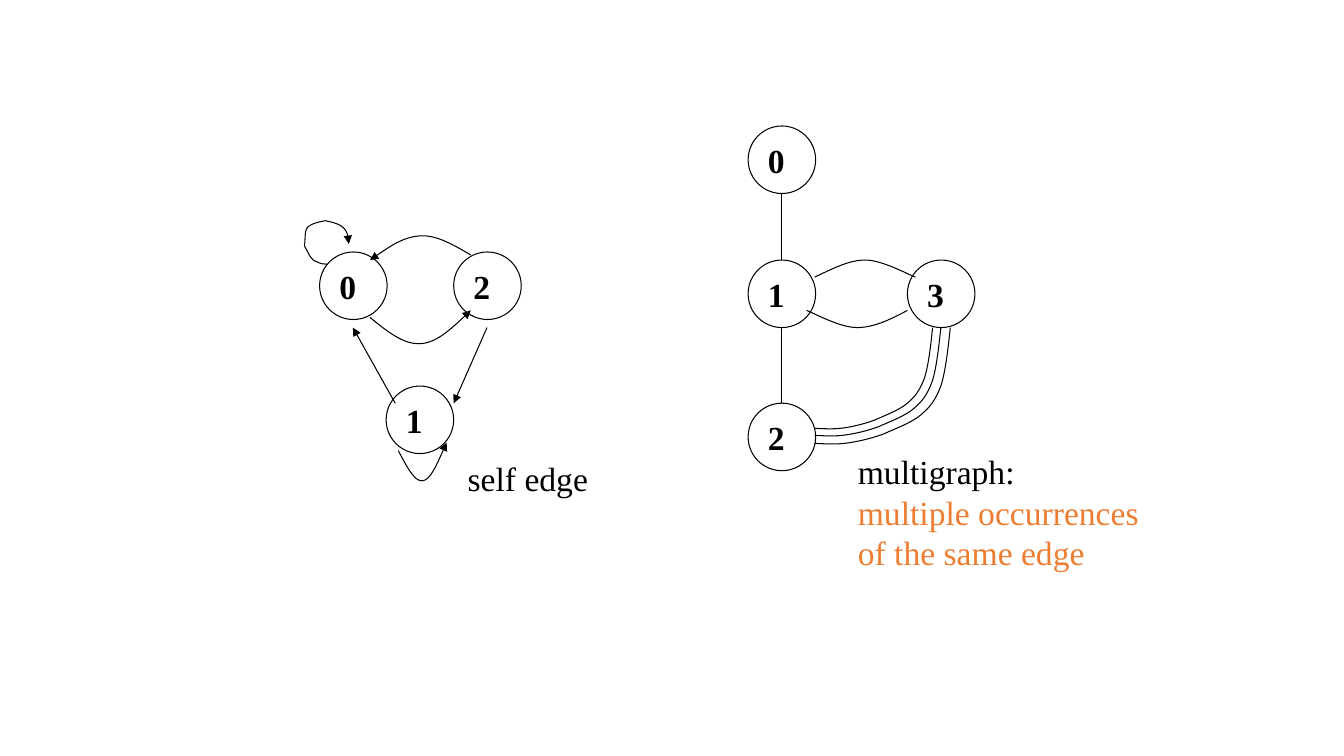
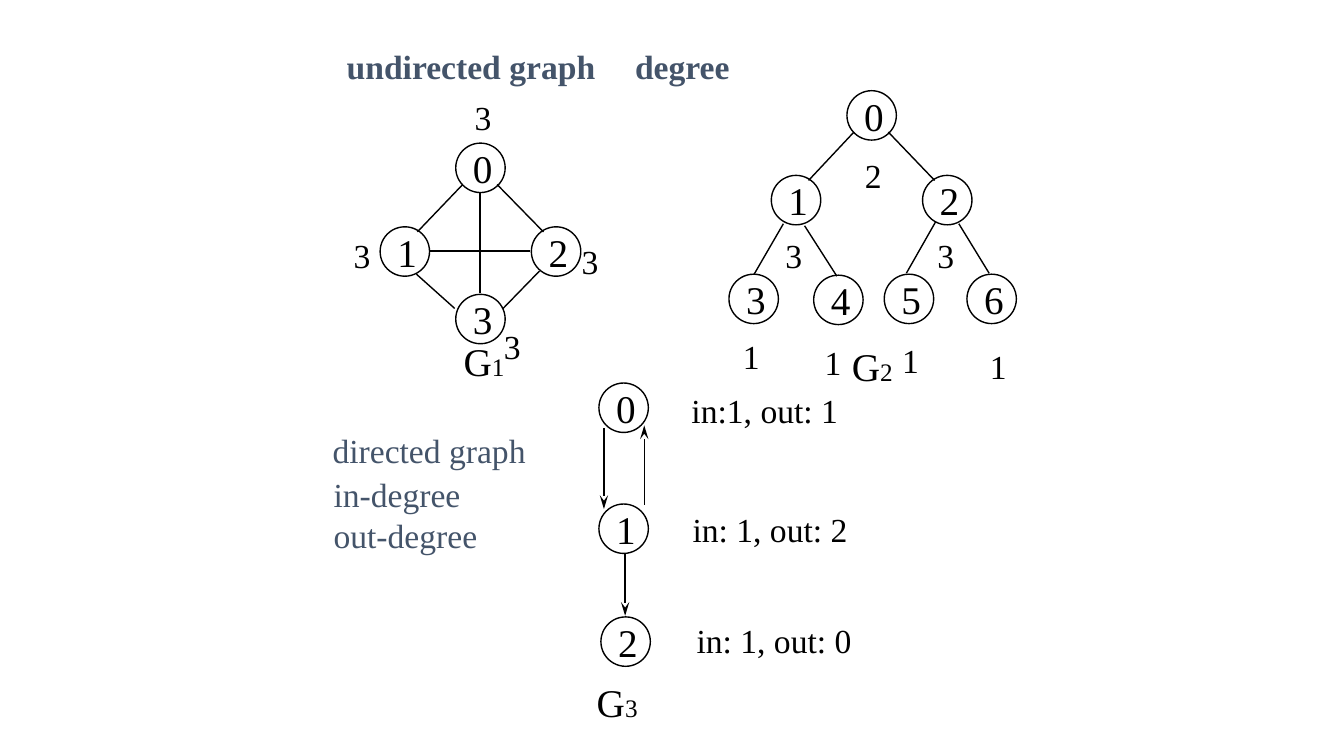
from dataclasses import dataclass
from pptx import Presentation
from pptx.dml.color import RGBColor
from pptx.enum.shapes import MSO_CONNECTOR, MSO_SHAPE
from pptx.enum.text import MSO_ANCHOR, MSO_AUTO_SIZE, PP_ALIGN
from pptx.oxml.ns import qn
from pptx.util import Inches, Pt
from lxml import etree

STRAIGHT, ELLIPSE = MSO_CONNECTOR.STRAIGHT, MSO_SHAPE.OVAL
TOP, MIDDLE, LEFT = MSO_ANCHOR.TOP, MSO_ANCHOR.MIDDLE, PP_ALIGN.LEFT
FIT_TEXT, NO_FIT = MSO_AUTO_SIZE.SHAPE_TO_FIT_TEXT, MSO_AUTO_SIZE.NONE


@dataclass(frozen=True)
class Theme:
    font: str = "Times New Roman"
    ink: str = "000000"
    paper: str = "FFFFFF"
    heading: str = "44546A"
    accent: str = "ED7D31"
    body: int = 24
    large: int = 28
    subscript: int = 18


T = Theme()

# Look of the graphs on each slide, and the two arrowheads
BOLD_GRAPH = dict(diameter=0.67, size=T.body, bold=True)
FILLED_GRAPH = dict(diameter=0.49, size=T.large, fill=T.paper)
TRIANGLE = dict(type="triangle")
STEALTH = dict(type="stealth", w="med", len="lg")

# Slide 1: nodes are numbered in list order; a curve is a start and its segments
SELF_EDGE_NODES = [(3.17, 2.5), (3.83, 3.83), (4.5, 2.5)]
MULTIGRAPH_NODES = [(7.42, 1.25), (7.42, 2.58), (7.42, 4), (9, 2.58)]
SELF_EDGE_LINES = [(3.92, 4, 3.5, 3.25), (4.83, 3.25, 4.5, 4)]
MULTIGRAPH_LINES = [(7.75, 1.92, 7.75, 2.58), (7.75, 3.25, 7.75, 4)]
DIRECTED_CURVES = [
    # Loop on node 0
    [(3.25, 2.62),
     (3.22, 2.62), (3.18, 2.62), (3.15, 2.6),
     (3.07, 2.58), (3.06, 2.5), (3.02, 2.44),
     (3.03, 2.38), (3.02, 2.32), (3.04, 2.27),
     (3.07, 2.21), (3.23, 2.19), (3.23, 2.19),
     (3.37, 2.22), (3.46, 2.26), (3.46, 2.42)],
    # Node 2 to 0, then 0 to 2
    [(4.67, 2.53), (4.5, 2.43), (4.33, 2.33), (4.17, 2.34),
     (4, 2.35), (3.83, 2.47), (3.67, 2.58)],
    [(3.67, 3.15), (3.83, 3.28), (4, 3.42), (4.17, 3.41),
     (4.33, 3.4), (4.5, 3.24), (4.67, 3.08)],
    # Loop on node 1
    [(3.95, 4.47), (4.03, 4.62), (4.11, 4.78), (4.19, 4.77),
     (4.27, 4.76), (4.35, 4.57), (4.43, 4.39)],
]
DOUBLE_EDGE = [
    [(8.08, 2.75), (8.25, 2.67), (8.42, 2.58), (8.58, 2.58),
     (8.75, 2.58), (9, 2.72), (9.08, 2.75)],
    [(9, 3.08), (8.83, 3.17), (8.67, 3.25), (8.5, 3.25),
     (8.33, 3.25), (8.08, 3.11), (8, 3.08)],
]
# One edge from node 3 to 2, repeated larger about a fixed corner
TRIPLE_EDGE = [
    (9.25, 3.25), (9.23, 3.44), (9.21, 3.62), (9.17, 3.75),
    (9.12, 3.88), (9.08, 3.93), (9, 4),
    (8.92, 4.07), (8.78, 4.12), (8.67, 4.17),
    (8.56, 4.21), (8.43, 4.24), (8.33, 4.25),
    (8.24, 4.26), (8.12, 4.25), (8.08, 4.25)]
TRIPLE_CORNER = (8.08, 3.25)
TRIPLE_SCALES = (1, 1.07, 1.15)
EDGE_CAPTIONS = [
    ((4.54, 4.49, 1.5, 0.5), [("self edge", T.ink)]),
    ((8.41, 4.42, 3.01, 1.31), [("multigraph:", T.ink),
                                ("multiple occurrences", T.accent),
                                ("of the same edge", T.accent)]),
]

# Slide 2: each graph has numbered nodes, lines, an arrowhead and a name
DEGREE_GRAPHS = [
    dict(number="1", name_at=(4.5, 3.3), arrow=None,
         nodes=[(4.52, 1.42), (3.77, 2.25), (5.27, 2.25), (4.52, 2.92)],
         lines=[(4.76, 1.91, 4.76, 2.91), (4.26, 2.49, 5.26, 2.49),
                (4.59, 1.83, 4.14, 2.3), (4.93, 1.83, 5.39, 2.3),
                (4.13, 2.72, 4.51, 3.06), (5.35, 2.69, 4.99, 3.06)]),
    dict(number="2", name_at=(8.35, 3.35), arrow=None,
         nodes=[(8.4, 0.9), (7.65, 1.74), (9.15, 1.74), (7.23, 2.72),
                (8.07, 2.73), (8.77, 2.72), (9.59, 2.72)],
         lines=[(8.47, 1.31, 8.02, 1.79), (8.81, 1.31, 9.27, 1.79),
                (7.77, 2.22, 7.48, 2.72), (7.98, 2.24, 8.3, 2.74),
                (9.28, 2.2, 8.99, 2.71), (9.51, 2.22, 9.81, 2.71)]),
    dict(number="3", name_at=(5.82, 6.68), arrow=STEALTH,
         nodes=[(5.94, 3.8), (5.94, 5), (5.96, 6.12)],
         lines=[(6.2, 5.5, 6.2, 6.11), (6.39, 5.01, 6.39, 4.22),
                (5.99, 4.25, 5.99, 5.05)]),
]
DEGREES = [
    ("3", 4.61, 0.91), ("3", 3.41, 2.28), ("3", 5.67, 2.34), ("3", 4.9, 3.18),
    ("2", 8.48, 1.49), ("3", 7.69, 2.28), ("3", 9.2, 2.28), ("1", 7.27, 3.28),
    ("1", 8.08, 3.34), ("1", 8.85, 3.32), ("1", 9.72, 3.38),
]
IN_OUT_DEGREES = [
    ("in:1, out: 1", 6.76, 3.82),
    ("in: 1, out: 2", 6.77, 5),
    ("in: 1, out: 0", 6.81, 6.1),
]
HEADINGS = [
    (["undirected graph"], (3.34, 0.41, 2.8, 0.5), True),
    (["degree"], (6.2, 0.41, 1.25, 0.5), True),
    (["directed graph"], (3.2, 4.22, 2.25, 0.5), False),
    (["in-degree", "out-degree"], (3.21, 4.65, 1.75, 0.91), False),
]


# Text
def add_run(p, text, size=T.body, color=T.ink, bold=False):
    r = p.add_run()
    r.text = text
    r.font.name, r.font.size, r.font.bold = T.font, Pt(size), bold
    r.font.color.rgb = RGBColor.from_string(color)


def setup_frame(sp, anchor=MIDDLE, fit=FIT_TEXT):
    tf = sp.text_frame
    tf.word_wrap = False
    tf.auto_size = fit
    tf.vertical_anchor = anchor
    tf.paragraphs[0].alignment = LEFT
    return tf


def add_text(slide, at, lines, bold=False):
    """Each line is a (text, colour) pair."""
    tf = setup_frame(slide.shapes.add_textbox(*map(Inches, at)))
    for i, (text, color) in enumerate(lines):
        p = tf.add_paragraph() if i else tf.paragraphs[0]
        add_run(p, text, color=color, bold=bold)


def add_graph_name(slide, left, top, number):
    sp = slide.shapes.add_textbox(*map(Inches, (left, top, 0.61, 0.57)))
    p = setup_frame(sp, anchor=TOP).paragraphs[0]
    add_run(p, "G", size=T.large)
    add_run(p, number, size=T.subscript)


# Nodes and edges
def style_line(sp, width, arrow=None):
    sp.line.color.rgb = RGBColor.from_string(T.ink)
    sp.line.width = Pt(width)
    if arrow:
        ln = sp._element.spPr.find(qn("a:ln"))
        etree.SubElement(ln, qn("a:tailEnd"), **arrow)


def add_nodes(slide, places, width, diameter, size, bold=False, fill=None):
    for number, (left, top) in enumerate(places):
        sp = slide.shapes.add_shape(
            ELLIPSE, *map(Inches, (left, top, diameter, diameter)))
        sp.shadow.inherit = False
        if fill:
            sp.fill.solid()
            sp.fill.fore_color.rgb = RGBColor.from_string(fill)
        else:
            sp.fill.background()
        style_line(sp, width)
        p = setup_frame(sp, fit=NO_FIT).paragraphs[0]
        add_run(p, str(number), size=size, bold=bold)


def add_lines(slide, lines, width, arrow=None):
    for ends in lines:
        cx = slide.shapes.add_connector(STRAIGHT, *map(Inches, ends))
        style_line(cx, width, arrow)
        etree.SubElement(cx._element.spPr, qn("a:effectLst"))


def bend(sp):
    """Turn every three straight pieces into one cubic curve."""
    pieces = list(sp._element.iter(qn("a:lnTo")))
    outline = pieces[0].getparent()
    for i in range(0, len(pieces), 3):
        cubic = etree.SubElement(outline, qn("a:cubicBezTo"))
        for piece in pieces[i:i + 3]:
            cubic.append(piece[0])
            outline.remove(piece)


def add_curves(slide, curves, width, arrow=None):
    for curve in curves:
        start, *points = [tuple(map(Inches, point)) for point in curve]
        builder = slide.shapes.build_freeform(*start)
        builder.add_line_segments(points, close=False)
        sp = builder.convert_to_shape()
        bend(sp)
        sp.shadow.inherit = False
        sp.fill.background()
        style_line(sp, width, arrow)


def scaled(curve, corner, factor):
    return [tuple(c + (v - c) * factor for v, c in zip(point, corner))
            for point in curve]


# Slides
def build_edge_slide(slide):
    width = 0.75
    for places in (SELF_EDGE_NODES, MULTIGRAPH_NODES):
        add_nodes(slide, places, width, **BOLD_GRAPH)
    add_lines(slide, SELF_EDGE_LINES, width, TRIANGLE)
    add_lines(slide, MULTIGRAPH_LINES, width)
    add_curves(slide, DIRECTED_CURVES, width, TRIANGLE)
    add_curves(slide, DOUBLE_EDGE, width)
    add_curves(slide, [scaled(TRIPLE_EDGE, TRIPLE_CORNER, f)
                       for f in TRIPLE_SCALES], width)
    for at, lines in EDGE_CAPTIONS:
        add_text(slide, at, lines)


def build_degree_slide(slide):
    width = 1
    for graph in DEGREE_GRAPHS:
        add_nodes(slide, graph["nodes"], width, **FILLED_GRAPH)
        add_lines(slide, graph["lines"], width, graph["arrow"])
        add_graph_name(slide, *graph["name_at"], graph["number"])
    for degree, left, top in DEGREES:
        add_text(slide, (left, top, 0.37, 0.5), [(degree, T.ink)])
    for text, left, top in IN_OUT_DEGREES:
        add_text(slide, (left, top, 1.85, 0.5), [(text, T.ink)])
    for lines, at, bold in HEADINGS:
        add_text(slide, at, [(line, T.heading) for line in lines], bold=bold)


def main():
    prs = Presentation()
    prs.slide_width, prs.slide_height = Inches(13.33), Inches(7.5)
    blank = prs.slide_layouts[6]
    for build in (build_edge_slide, build_degree_slide):
        build(prs.slides.add_slide(blank))
    prs.save("out.pptx")


if __name__ == "__main__":
    main()
